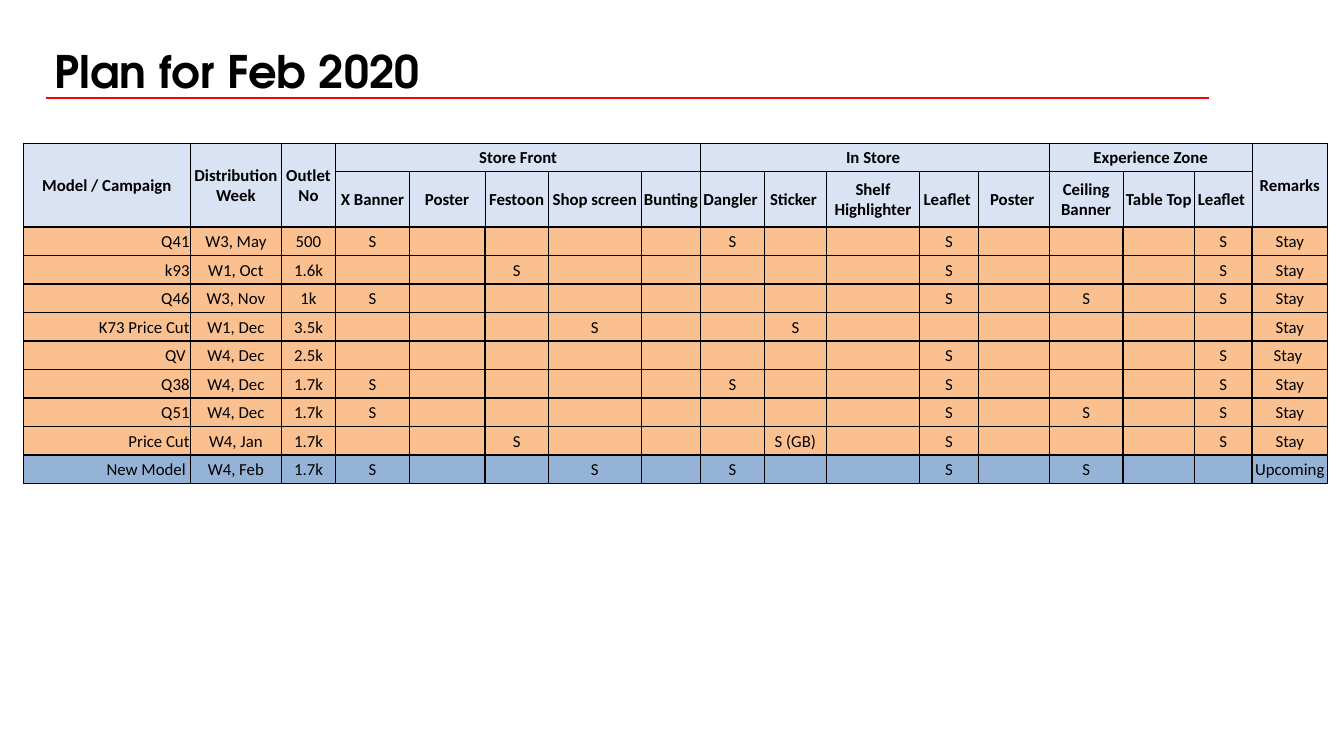
from lxml.etree import SubElement
from pptx import Presentation
from pptx.dml.color import RGBColor
from pptx.enum.shapes import MSO_CONNECTOR
from pptx.enum.text import MSO_ANCHOR, MSO_AUTO_SIZE, PP_ALIGN
from pptx.oxml.ns import qn
from pptx.util import Inches, Pt

BLACK = RGBColor(0x00, 0x00, 0x00)
RED = RGBColor(0xFF, 0x00, 0x00)
HEADER_BLUE = RGBColor(0xDA, 0xE3, 0xF3)
STAY_ORANGE = RGBColor(0xFA, 0xC0, 0x90)
UPCOMING_BLUE = RGBColor(0x95, 0xB3, 0xD7)

COLUMN_WIDTHS = [1.66, 0.9, 0.54, 0.73, 0.75, 0.63, 0.92, 0.59, 0.63,
                 0.62, 0.92, 0.59, 0.7, 0.73, 0.71, 0.57, 0.75]
TABLE_HEIGHT = 3.38
MATERIAL_ROW_HEIGHT = 0.55
HEADER_ROWS = 2
MATERIALS = ["X Banner", "Poster", "Festoon", "Shop screen", "Bunting ",
             "Dangler ", "Sticker ", "Shelf Highlighter", "Leaflet ", "Poster ",
             "Ceiling Banner", "Table Top", "Leaflet "]
HEADER_SPANS = [
    ("Model / Campaign", 0, 2, 1),
    ("Distribution Week", 1, 2, 1),
    ("Outlet No", 2, 2, 1),
    ("Store Front", 3, 1, 5),
    ("In Store ", 8, 1, 5),
    ("Experience Zone", 13, 1, 3),
    ("Remarks", 16, 2, 1),
]
CAMPAIGNS = [
    ("Q41", "W3, May", "500", {3: "S", 8: "S", 11: "S", 15: "S"}, "Stay"),
    ("k93", "W1, Oct", "1.6k", {5: "S", 11: "S", 15: "S"}, "Stay"),
    ("Q46", "W3, Nov", "1k", {3: "S", 11: "S", 13: "S", 15: "S"}, "Stay"),
    ("K73 Price Cut", "W1, Dec", "3.5k", {6: "S", 9: "S"}, "Stay"),
    ("QV ", "W4, Dec", "2.5k", {11: "S", 15: "S"}, "Stay "),
    ("Q38", "W4, Dec", "1.7k", {3: "S", 8: "S", 11: "S", 15: "S"}, "Stay"),
    ("Q51", "W4, Dec", "1.7k", {3: "S", 11: "S", 13: "S", 15: "S"}, "Stay"),
    ("Price Cut", "W4, Jan", "1.7k", {5: "S", 9: "S (GB)", 11: "S", 15: "S"}, "Stay"),
    ("New Model ", "W4, Feb", "1.7k", {3: "S", 6: "S", 8: "S", 11: "S", 13: "S"}, "Upcoming"),
]


def add_borders(cell, widths):
    properties = cell._tc.get_or_add_tcPr()
    for side, width in zip("LRTB", widths):
        line = SubElement(properties, qn(f"a:ln{side}"), w=str(Pt(width)))
        fill = SubElement(line, qn("a:solidFill"))
        SubElement(fill, qn("a:srgbClr"), val=str(BLACK))


def format_cell(cell, color, bold, alignment):
    cell.fill.solid()
    cell.fill.fore_color.rgb = color
    cell.vertical_anchor = MSO_ANCHOR.MIDDLE
    cell.margin_left = cell.margin_right = cell.margin_top = Inches(0.01)
    cell.margin_bottom = 0
    paragraph = cell.text_frame.paragraphs[0]
    paragraph.alignment = alignment
    for run in paragraph.runs:
        run.font.name = "Calibri"
        run.font.size = Pt(12)
        run.font.bold = bold
        run.font.color.rgb = BLACK
    if not paragraph.runs:
        SubElement(paragraph._p, qn("a:endParaRPr"), sz="1200")


presentation = Presentation()
presentation.slide_width = Inches(13.33)
presentation.slide_height = Inches(7.5)
slide = presentation.slides.add_slide(presentation.slide_layouts[5])

rule = slide.shapes.add_connector(
    MSO_CONNECTOR.STRAIGHT, Inches(11.99), Inches(0.97), Inches(0.46), Inches(0.97))
rule.line.color.rgb = RED
rule.line.width = Pt(1.5)
SubElement(rule._element.spPr, qn("a:effectLst"))

title = slide.shapes.title
title.left, title.top = Inches(0.44), Inches(0.18)
title.width, title.height = Inches(11.5), Inches(0.84)
title.text_frame.text = "Plan for Feb 2020"
title.text_frame.auto_size = MSO_AUTO_SIZE.NONE
title.text_frame.vertical_anchor = MSO_ANCHOR.BOTTOM
heading = title.text_frame.paragraphs[0]
heading.alignment = PP_ALIGN.LEFT
heading.line_spacing = 0.9
heading_font = heading.runs[0].font
heading_font.name = "TeX Gyre Adventor"
heading_font.size = Pt(32)
heading_font.bold = True
heading_font.color.rgb = BLACK

row_height = (TABLE_HEIGHT - MATERIAL_ROW_HEIGHT) / (len(CAMPAIGNS) + 1)
row_heights = [row_height, MATERIAL_ROW_HEIGHT] + [row_height] * len(CAMPAIGNS)
table = slide.shapes.add_table(
    len(row_heights), len(COLUMN_WIDTHS), Inches(0.23), Inches(1.42),
    Inches(sum(COLUMN_WIDTHS)), Inches(TABLE_HEIGHT)).table
table.first_row = False
table.horz_banding = False
for column, width in zip(table.columns, COLUMN_WIDTHS):
    column.width = Inches(width)
for row, height in zip(table.rows, row_heights):
    row.height = Inches(height)

for text, column_index, row_span, column_span in HEADER_SPANS:
    cell = table.cell(0, column_index)
    cell.merge(table.cell(row_span - 1, column_index + column_span - 1))
    cell.text_frame.text = text
for column_index, material in enumerate(MATERIALS, start=3):
    table.cell(1, column_index).text_frame.text = material

for row_index in range(HEADER_ROWS):
    for column_index in range(len(COLUMN_WIDTHS)):
        cell = table.cell(row_index, column_index)
        reaches_body = row_index == 1 or (cell.is_merge_origin and cell.span_height == 2)
        add_borders(cell, (0.5, 0.5, 0.5, 1 if reaches_body else 0.5))
        format_cell(cell, HEADER_BLUE, True, PP_ALIGN.CENTER)

for row_index, (model, week, outlets, marks, remark) in enumerate(CAMPAIGNS, start=HEADER_ROWS):
    texts = {0: model, 1: week, 2: outlets, 16: remark, **marks}
    color = UPCOMING_BLUE if remark == "Upcoming" else STAY_ORANGE
    for column_index in range(len(COLUMN_WIDTHS)):
        cell = table.cell(row_index, column_index)
        if column_index in texts:
            cell.text_frame.text = texts[column_index]
        add_borders(cell, (1, 1, 1, 1))
        format_cell(cell, color, False, PP_ALIGN.CENTER if column_index else PP_ALIGN.RIGHT)

presentation.save("out.pptx")
